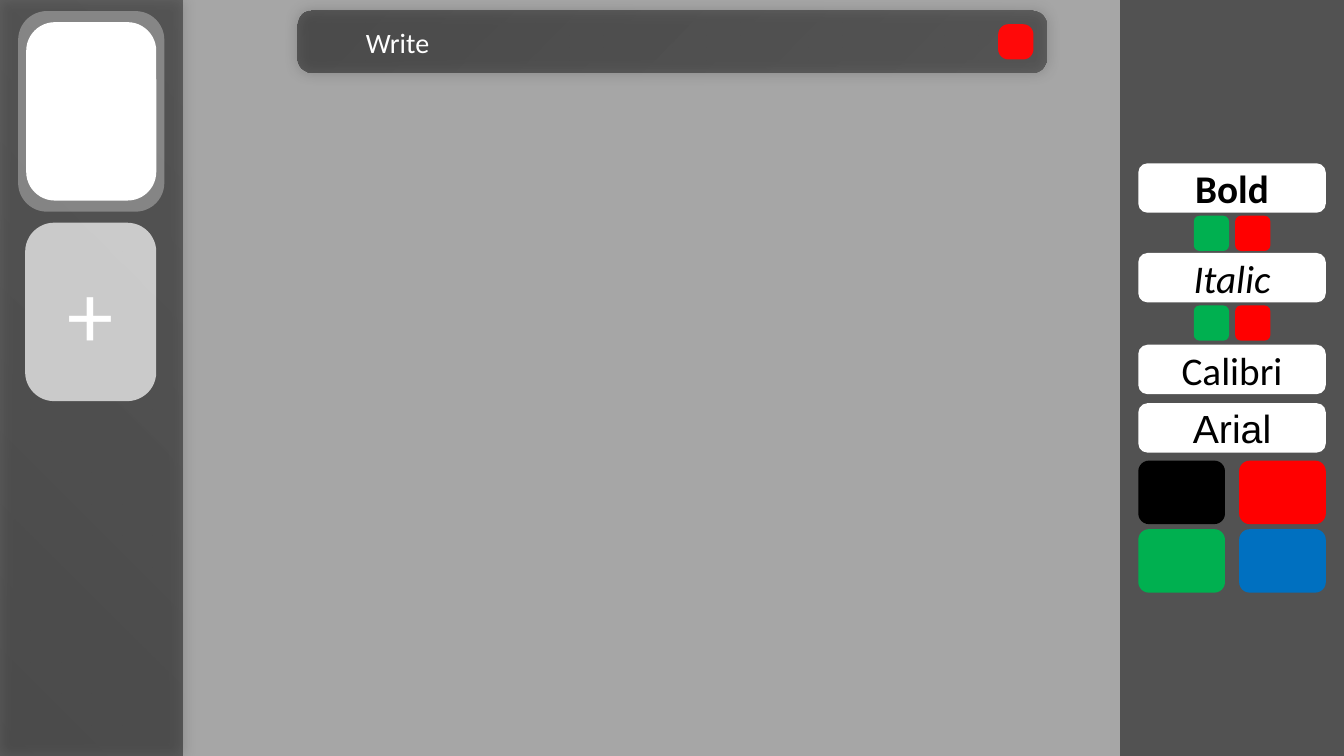
import pptx
import pptx.util
import pptx.dml.color
import pptx.enum.shapes
import pptx.enum.text
import pptx.oxml
import pptx.oxml.ns

Inches = pptx.util.Inches
SHAPES = pptx.enum.shapes.MSO_SHAPE

COLORS = {
    "canvas": "A6A6A6",
    "black": "000000",
    "white": "FFFFFF",
    "close": "FF0909",
    "red": "FF0000",
    "green": "00B050",
    "blue": "0070C0",
}


def rgb(name):
    return pptx.dml.color.RGBColor.from_string(COLORS[name])


def set_opacity(shape, *percents):
    """Give each colour of the fill, in order, an opacity in percent."""
    colors = shape.element.spPr.iter(pptx.oxml.ns.qn("a:srgbClr"))
    for color, percent in zip(list(colors), percents):
        alpha = color.makeelement(pptx.oxml.ns.qn("a:alpha"), {"val": str(percent * 1000)})
        color.append(alpha)


def add_tile(slide, box, color, rounding=0.167, opacity=None, kind=SHAPES.ROUNDED_RECTANGLE):
    shape = slide.shapes.add_shape(kind, *(Inches(length) for length in box))
    shape.shadow.inherit = False
    shape.line.fill.background()
    for index in range(len(shape.adjustments)):
        shape.adjustments[index] = rounding
    shape.fill.solid()
    shape.fill.fore_color.rgb = rgb(color)
    if opacity is not None:
        set_opacity(shape, opacity)
    return shape


def add_glass(slide, box, rounding, kind=SHAPES.ROUNDED_RECTANGLE):
    """Add a see-through dark tile with a soft shadow all round."""
    shape = add_tile(slide, box, "black", rounding, kind=kind)
    shape.fill.gradient()
    shape.fill.gradient_angle = 315
    for stop, position in zip(shape.fill.gradient_stops, (0, 1)):
        stop.position = position
        stop.color.rgb = rgb("black")
    set_opacity(shape, 45, 40)
    shadow = pptx.oxml.parse_xml(
        f'<a:outerShdw {pptx.oxml.ns.nsdecls("a")} blurRad="{pptx.util.Pt(10)}" dist="0" '
        f'dir="0" algn="ctr" rotWithShape="0"><a:srgbClr val="{COLORS["black"]}">'
        '<a:alpha val="40000"/></a:srgbClr></a:outerShdw>')
    shape.element.spPr.find(pptx.oxml.ns.qn("a:effectLst")).append(shadow)
    return shape


def set_label(shape, text, size, color, font="Calibri", bold=None, italic=None,
              alignment=pptx.enum.text.PP_ALIGN.CENTER):
    shape.text_frame.text = text
    paragraph = shape.text_frame.paragraphs[0]
    paragraph.alignment = alignment
    run = paragraph.runs[0]
    run.font.name = font
    run.font.size = pptx.util.Pt(size)
    run.font.color.rgb = rgb(color)
    run.font.bold = bold
    run.font.italic = italic


def add_title_bar(slide, left, top, width, height):
    add_glass(slide, (left, top, width, height), 0.222)
    # Close button
    button = 0.35
    add_tile(slide, (left + width - 0.48, top + 0.13, button, button), "close", 0.292)
    # Title
    title = slide.shapes.add_textbox(
        Inches(left + 0.58), Inches(top + 0.09), Inches(2.28), Inches(0.44))
    title.text_frame.word_wrap = True
    title.text_frame.auto_size = pptx.enum.text.MSO_AUTO_SIZE.SHAPE_TO_FIT_TEXT
    set_label(title, "Write", 20, "white", alignment=pptx.enum.text.PP_ALIGN.LEFT)


def add_page_panel(slide, left, top, width, height):
    # Panel, a lying shape turned upright about its centre
    turned = (left + (width - height) / 2, top + (height - width) / 2, height, width)
    panel = add_glass(slide, turned, 0, SHAPES.ROUND_2_SAME_RECTANGLE)
    panel.rotation = 270
    # Current page with its selection frame
    add_tile(slide, (left + 0.18, top + 0.11, 1.45, 1.99), "white", 0.197, 30)
    add_tile(slide, (left + 0.26, top + 0.22, 1.29, 1.77), "white", 0.221)
    # New page button
    new_page = add_tile(slide, (left + 0.25, top + 2.21, 1.3, 1.77), "white", 0.221, 70)
    set_label(new_page, "+", 66, "white")


def add_format_panel(slide, left, top, width, height):
    add_tile(slide, (left, top, width, height), "black", 0, 50)
    inner = left + 0.18
    # Style and font buttons; styles have an on and an off switch below
    buttons = [
        (1.62, "Bold", {"bold": True}, True),
        (2.51, "Italic", {"italic": True}, True),
        (3.42, "Calibri", {}, False),
        (4.0, "Arial", {"font": "Arial"}, False),
    ]
    for offset, text, style, has_switch in buttons:
        button = add_tile(slide, (inner, top + offset, 1.86, 0.49), "white", 0.185)
        set_label(button, text, 28, "black", **style)
        if has_switch:
            for column, color in enumerate(("green", "red")):
                add_tile(slide, (inner + 0.55 + 0.41 * column, top + offset + 0.52, 0.35, 0.35),
                         color)
    # Text colour swatches
    for index, color in enumerate(("black", "red", "green", "blue")):
        row, column = divmod(index, 2)
        add_tile(slide, (inner + column, top + 4.57 + 0.68 * row, 0.86, 0.63), color)


def main():
    presentation = pptx.Presentation()
    presentation.slide_width = Inches(13.33)
    presentation.slide_height = Inches(7.5)
    slide = presentation.slides.add_slide(presentation.slide_layouts[6])
    slide.background.fill.solid()
    slide.background.fill.fore_color.rgb = rgb("canvas")
    add_title_bar(slide, 2.95, 0.11, 7.43, 0.61)
    add_page_panel(slide, 0, 0, 1.81, 7.5)
    add_format_panel(slide, 11.11, 0, 2.23, 7.5)
    presentation.save("out.pptx")


if __name__ == "__main__":
    main()
